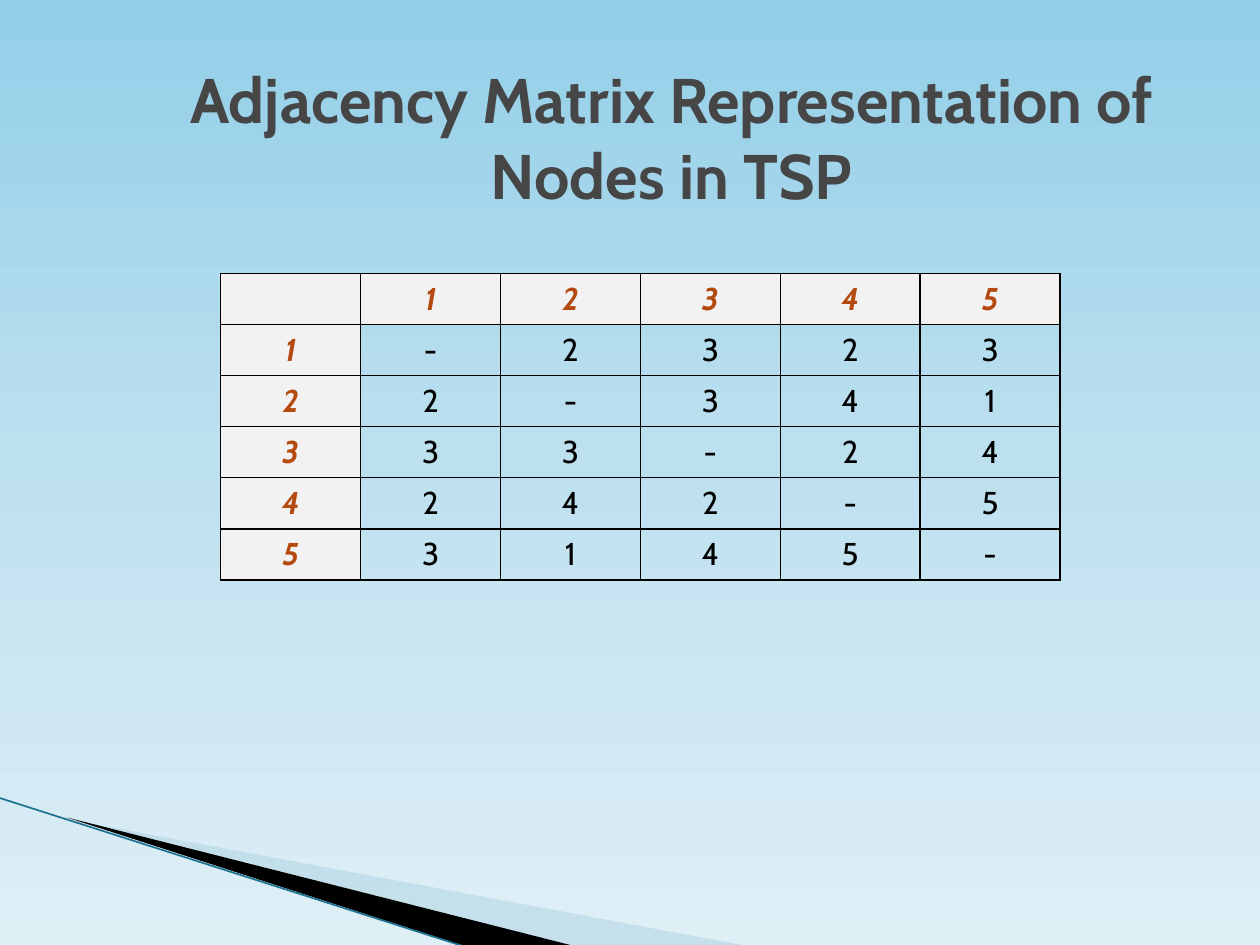
"""Build a slide with the adjacency matrix of a travelling salesman problem."""
import copy

from lxml import etree
from pptx import Presentation
from pptx import util as u
from pptx.dml.color import RGBColor
from pptx.enum import shapes, text
from pptx.oxml import ns

FONT = "Cabin"
COLORS = {
    "sky_top": "92CFE8", "sky_middle": "BDE0EF", "sky_bottom": "DFEFF6",
    "pale_wedge": "A0CBDC", "black": "000000", "edge": "1B7391",
    "title": "464646", "header": "B54A10", "header_fill": "F2F2F2",
}
MATRIX = ["-2323", "2-341", "33-24", "242-5", "3145-"]


def color(name):
    return RGBColor.from_string(COLORS[name])


def paint_background(page):
    fill = page.background.fill
    fill.gradient()
    fill.gradient_angle = 270
    stop_list = page.background._cSld.find(".//" + ns.qn("a:gsLst"))
    stop_list.insert(1, copy.deepcopy(stop_list[0]))
    sky = [(0, "sky_top"), (0.48, "sky_middle"), (1, "sky_bottom")]
    for stop, (position, name) in zip(fill.gradient_stops, sky):
        stop.position = position
        stop.color.rgb = color(name)


def add_wedge(page, points, name, opacity=100):
    start, *others = [(u.Cm(x), u.Cm(y)) for x, y in points]
    builder = page.shapes.build_freeform(*start)
    builder.add_line_segments(others, close=True)
    wedge = builder.convert_to_shape()
    wedge.shadow.inherit = False
    wedge.line.fill.background()
    wedge.fill.solid()
    wedge.fill.fore_color.rgb = color(name)
    if opacity < 100:
        tint = wedge._element.spPr.find(".//" + ns.qn("a:srgbClr"))
        etree.SubElement(tint, ns.qn("a:alpha"), val=str(opacity * 1000))


def add_edge(page, start, end):
    ends = [u.Cm(value) for value in (*start, *end)]
    edge = page.shapes.add_connector(shapes.MSO_CONNECTOR.STRAIGHT, *ends)
    edge.line.color.rgb = color("edge")
    edge.line.width = u.Pt(0.95)
    etree.SubElement(edge._element.spPr, ns.qn("a:effectLst"))


def write(frame, content, size, name, bold=False, italic=False):
    frame.text = content
    para = frame.paragraphs[0]
    para.alignment = text.PP_ALIGN.CENTER
    for span in para.runs:
        font = span.font
        font.name, font.size = FONT, u.Pt(size)
        font.bold, font.italic = bold, italic
        font.color.rgb = color(name)


def add_title(page, content):
    box = page.shapes.add_textbox(u.Cm(2.74), u.Cm(1.7), u.Cm(21.6), u.Cm(2.1))
    box.text_frame.word_wrap = True
    box.text_frame.vertical_anchor = text.MSO_ANCHOR.MIDDLE
    write(box.text_frame, content, 36, "title", bold=True)


def add_borders(cell):
    properties = cell._tc.get_or_add_tcPr()
    for side in ("lnL", "lnR", "lnT", "lnB"):
        border = etree.SubElement(properties, ns.qn(f"a:{side}"), w=str(u.Pt(1)))
        solid = etree.SubElement(border, ns.qn("a:solidFill"))
        etree.SubElement(solid, ns.qn("a:srgbClr"), val=COLORS["black"])


def add_matrix(page, matrix):
    labels = [str(number + 1) for number in range(len(matrix))]
    rows = [["", *labels]] + [[label, *row] for label, row in zip(labels, matrix)]
    count = len(rows)
    frame = page.shapes.add_table(count, count, u.Cm(4.45), u.Cm(5.51),
                                  u.Cm(2.82) * count, u.Cm(1.03) * count)
    table = frame.table
    table.first_row = table.horz_banding = False
    for i, row in enumerate(rows):
        for j, value in enumerate(row):
            cell = table.cell(i, j)
            add_borders(cell)
            if i == 0 or j == 0:
                cell.fill.solid()
                cell.fill.fore_color.rgb = color("header_fill")
                write(cell.text_frame, value, 18, "header", bold=True, italic=True)
            else:
                cell.fill.background()
                write(cell.text_frame, value, 18, "black")


def main():
    deck = Presentation()
    deck.slide_width, deck.slide_height = u.Cm(25.4), u.Cm(19.05)
    page = deck.slides.add_slide(deck.slide_layouts[6])
    paint_background(page)
    add_wedge(page, [(1.4, 16.52), (15.11, 19.08), (11.58, 19.08)],
              "pale_wedge", opacity=40)
    add_wedge(page, [(1.35, 16.48), (11.61, 19.08), (9.45, 19.1)], "black")
    add_edge(page, (-0.03, 16.08), (9.42, 19.1))
    add_title(page, "Adjacency Matrix Representation of Nodes in TSP")
    add_matrix(page, MATRIX)
    deck.save("out.pptx")


if __name__ == "__main__":
    main()
